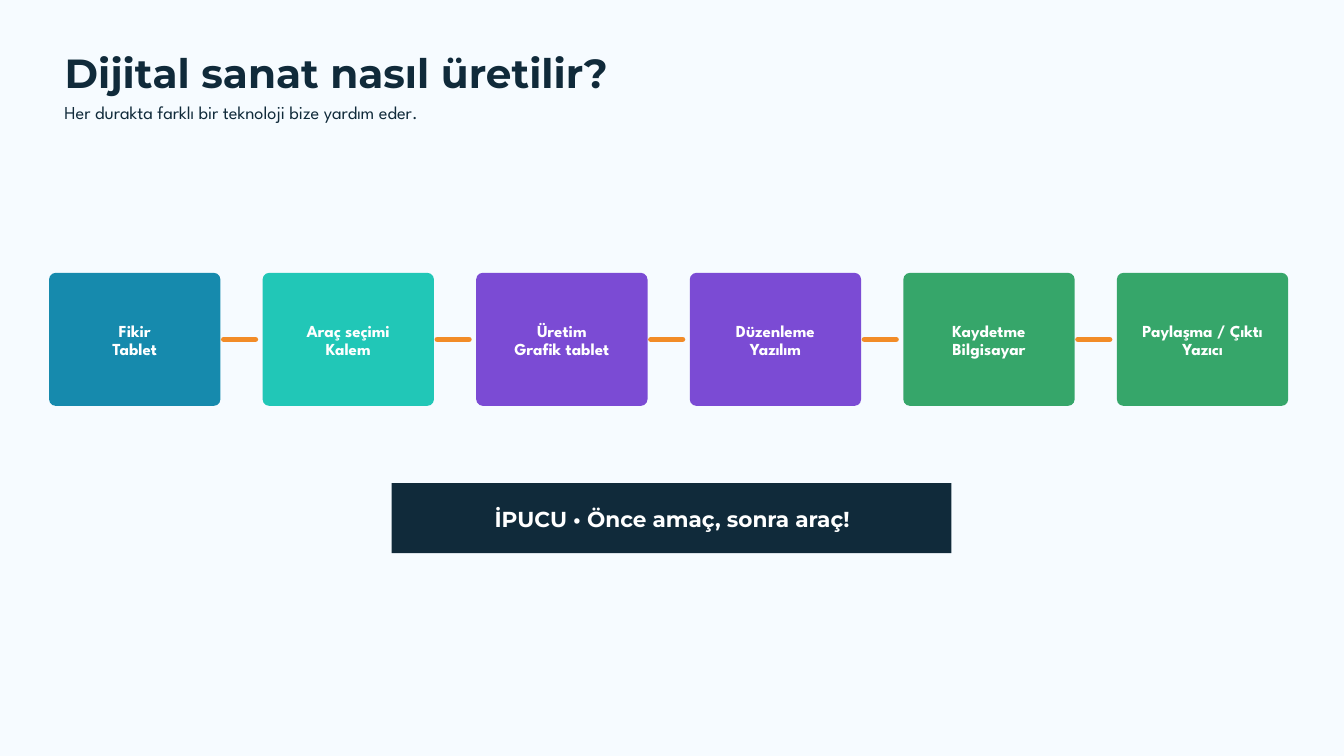
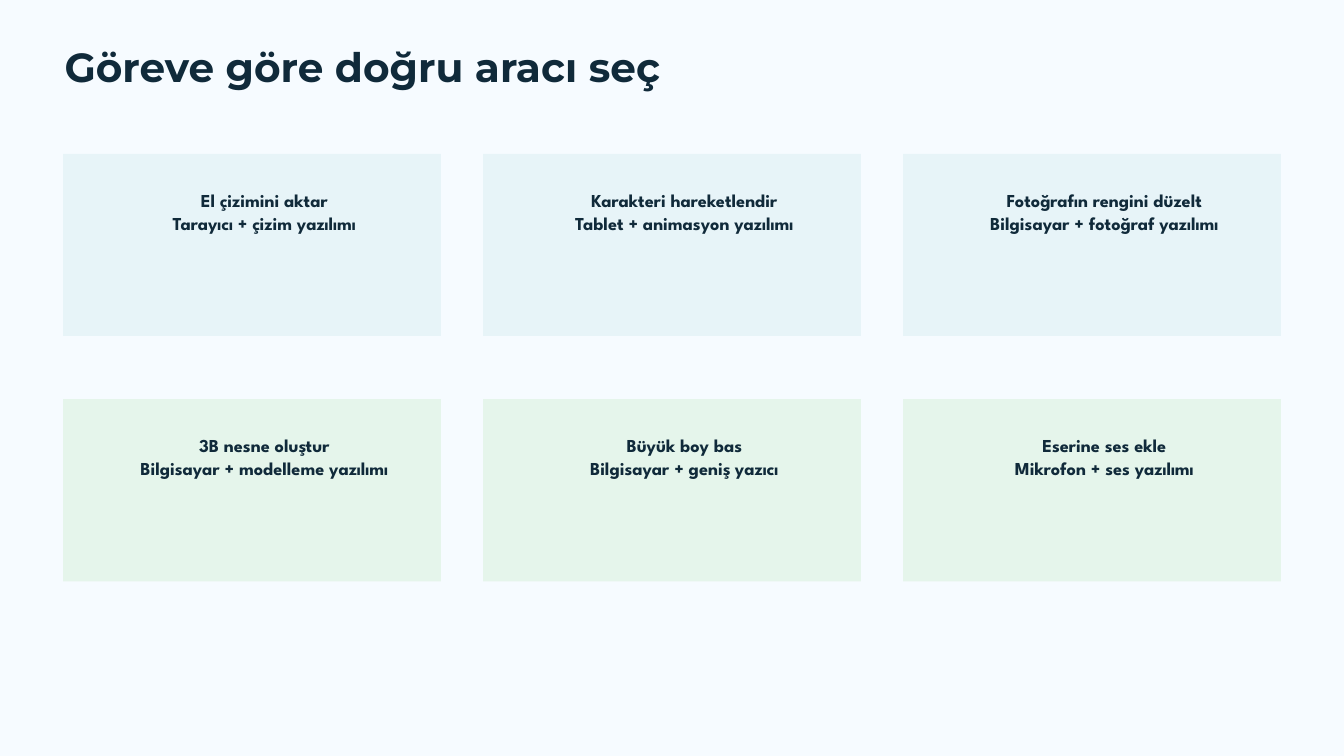
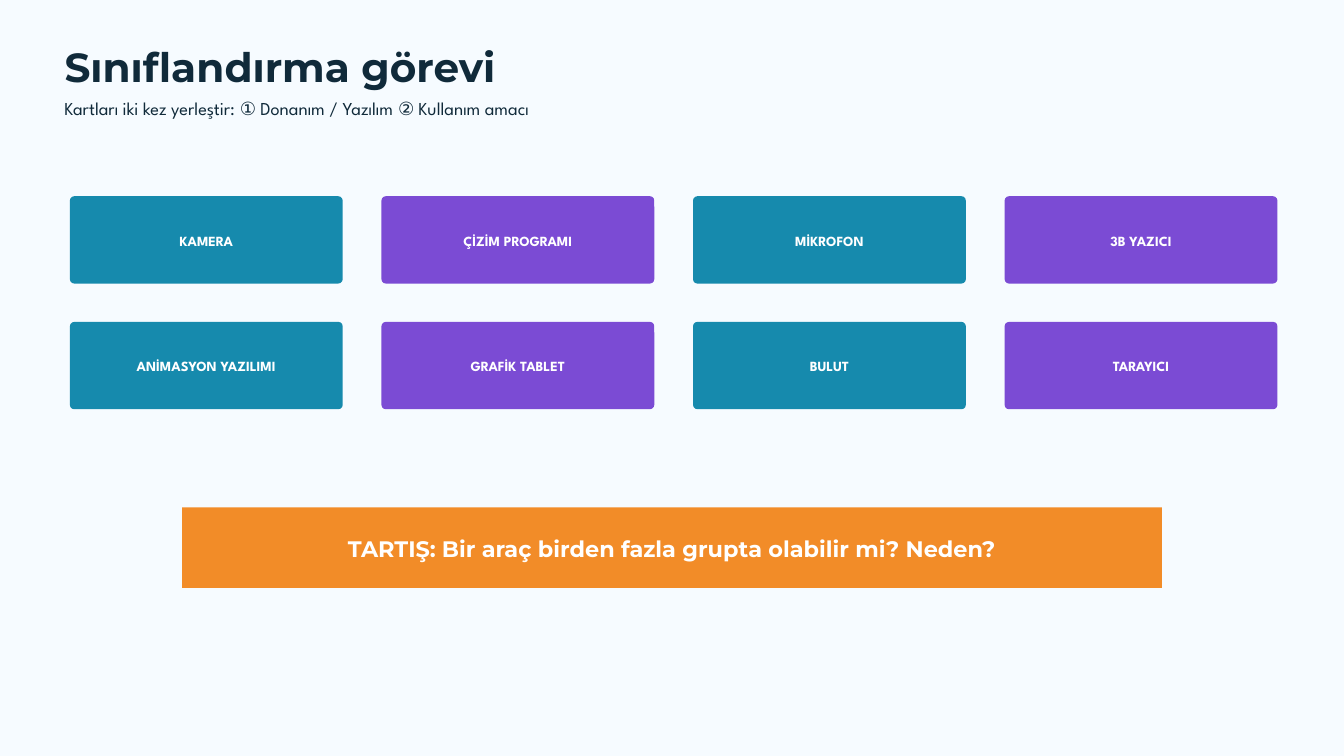
from dataclasses import dataclass

from lxml.etree import SubElement
from pptx import Presentation
from pptx.dml.color import RGBColor
from pptx.enum.shapes import MSO_CONNECTOR, MSO_SHAPE
from pptx.enum.text import MSO_ANCHOR, MSO_AUTO_SIZE, PP_ALIGN
from pptx.oxml.ns import qn
from pptx.util import Inches, Pt


# Theme: colours, and text styles with size and line spacing in points
def color(code):
    return RGBColor.from_string(code)


@dataclass(frozen=True)
class Theme:
    paper = color("F6FBFF")
    ink = color("102A3A")
    white = color("FFFFFF")
    blue = color("168AAD")
    teal = color("21C7B7")
    purple = color("7B4BD4")
    green = color("36A66A")
    orange = color("F28C28")
    pale_blue = color("E7F4F8")
    pale_green = color("E5F5EB")


HEADING, BODY = "Montserrat", "League Spartan"


def style(name, size, spacing, ink=Theme.white, bold=True, align=PP_ALIGN.CENTER):
    font = {"name": name, "size": Pt(size), "bold": bold}
    return {"font": font, "ink": ink, "layout": {"alignment": align, "line_spacing": Pt(spacing)}}


TITLE = style(HEADING, 43.5, 47, Theme.ink, align=PP_ALIGN.LEFT)
SUBTITLE = style(BODY, 19.5, 24.4, Theme.ink, False, PP_ALIGN.LEFT)
STEP = style(BODY, 18, 19.8)
TASK = style(BODY, 19.5, 24.4, Theme.ink)
LABEL = style(BODY, 15, 16.5)
TIP = style(HEADING, 23.2, 32.5)
QUESTION = style(HEADING, 24, 33.6)

# Content
STEPS = [
    ("Fikir", "Tablet", Theme.blue),
    ("Araç seçimi", "Kalem", Theme.teal),
    ("Üretim", "Grafik tablet", Theme.purple),
    ("Düzenleme", "Yazılım", Theme.purple),
    ("Kaydetme", "Bilgisayar", Theme.green),
    ("Paylaşma / Çıktı", "Yazıcı", Theme.green),
]
TASKS = [
    ("El çizimini aktar", "Tarayıcı + çizim yazılımı"),
    ("Karakteri hareketlendir", "Tablet + animasyon yazılımı"),
    ("Fotoğrafın rengini düzelt", "Bilgisayar + fotoğraf yazılımı"),
    ("3B nesne oluştur", "Bilgisayar + modelleme yazılımı"),
    ("Büyük boy bas", "Bilgisayar + geniş yazıcı"),
    ("Eserine ses ekle", "Mikrofon + ses yazılımı"),
]
TOOLS = [
    "KAMERA", "ÇİZİM PROGRAMI", "MİKROFON", "3B YAZICI",
    "ANİMASYON YAZILIMI", "GRAFİK TABLET", "BULUT", "TARAYICI",
]

# Insets: left, top, right, bottom
NO_INSETS = (0, 0, 0, 0)
CARD_INSETS = (0.06, 0.09, 0.06, 0.05)
TASK_INSETS = (0.39, 0.51, 0.02, 0)


# Shared parts
def write(shape, lines, text_style, insets=NO_INSETS, anchor=MSO_ANCHOR.TOP):
    frame = shape.text_frame
    settings = {"word_wrap": True, "auto_size": MSO_AUTO_SIZE.NONE, "vertical_anchor": anchor}
    for side, inset in zip(("left", "top", "right", "bottom"), insets):
        settings[f"margin_{side}"] = Inches(inset)
    for key, value in settings.items():
        setattr(frame, key, value)
    for index, line in enumerate(lines):
        para = frame.add_paragraph() if index else frame.paragraphs[0]
        for key, value in text_style["layout"].items():
            setattr(para, key, value)
        span = para.add_run()
        span.text = line
        for key, value in text_style["font"].items():
            setattr(span.font, key, value)
        span.font.color.rgb = text_style["ink"]


def add_page(deck, title, top, subtitle=None, subtitle_top=0):
    page = deck.slides.add_slide(deck.slide_layouts[5])
    box = page.shapes.title
    place = {"left": 0.96, "top": top, "width": 15.62, "height": 0.66}
    for key, value in place.items():
        setattr(box, key, Inches(value))
    write(box, [title], TITLE)
    if subtitle:
        box = page.shapes.add_textbox(
            Inches(0.96), Inches(subtitle_top), Inches(16.67), Inches(0.34))
        write(box, [subtitle], SUBTITLE)
    return page


def add_box(page, place, fill, lines, text_style, insets, rounded=False):
    kind = MSO_SHAPE.ROUNDED_RECTANGLE if rounded else MSO_SHAPE.RECTANGLE
    box = page.shapes.add_shape(kind, *map(Inches, place))
    if rounded:
        box.adjustments[0] = 0.05
    box.shadow.inherit = False
    box.fill.solid()
    box.fill.fore_color.rgb = fill
    box.line.fill.background()
    anchor = MSO_ANCHOR.MIDDLE if rounded else MSO_ANCHOR.TOP
    write(box, lines, text_style, insets, anchor)


def add_link(page, start, end, y):
    link = page.shapes.add_connector(
        MSO_CONNECTOR.STRAIGHT, Inches(start), Inches(y), Inches(end), Inches(y))
    link.line.color.rgb = Theme.orange
    link.line.width = Pt(6)
    link.line._get_or_add_ln().set("cap", "rnd")
    SubElement(link._element.spPr, qn("a:effectLst"))


def grid(count, columns, left, right, top, width, height, row_gap=0):
    """Places of equal cells spread evenly from left to right, row by row."""
    pitch = (right - left - width) / (columns - 1)
    for index in range(count):
        row, column = divmod(index, columns)
        yield left + column * pitch, top + row * (height + row_gap), width, height


# Slides
def add_process(deck):
    page = add_page(deck, "Dijital sanat nasıl üretilir?", 0.79,
                    "Her durakta farklı bir teknoloji bize yardım eder.", 1.49)
    places = list(grid(len(STEPS), len(STEPS), 0.73, 19.17, 4.06, 2.55, 1.98))
    for (name, tool, fill), place in zip(STEPS, places):
        add_box(page, place, fill, [name, tool], STEP, CARD_INSETS, rounded=True)
    for left, top, width, height in places[:-1]:
        start = left + width + 0.05
        add_link(page, start, start + 0.47, top + height / 2)
    add_box(page, (5.83, 7.19, 8.33, 1.04), Theme.ink,
            ["İPUCU • Önce amaç, sonra araç!"], TIP, (0.32, 0.27, 0.3, 0))


def add_tool_choice(deck):
    page = add_page(deck, "Göreve göre doğru aracı seç", 0.69)
    places = grid(len(TASKS), 3, 0.94, 19.06, 2.29, 5.62, 2.71, 0.94)
    for index, (lines, place) in enumerate(zip(TASKS, places)):
        fill = Theme.pale_blue if index < 3 else Theme.pale_green
        add_box(page, place, fill, lines, TASK, TASK_INSETS)


def add_sorting(deck):
    page = add_page(deck, "Sınıflandırma görevi", 0.69,
                    "Kartları iki kez yerleştir: ① Donanım / Yazılım ② Kullanım amacı", 1.44)
    places = grid(len(TOOLS), 4, 1.04, 19.01, 2.92, 4.06, 1.3, 0.57)
    for index, (tool, place) in enumerate(zip(TOOLS, places)):
        fill = Theme.purple if index % 2 else Theme.blue
        add_box(page, place, fill, [tool], LABEL, CARD_INSETS, rounded=True)
    add_box(page, (2.71, 7.55, 14.58, 1.2), Theme.orange,
            ["TARTIŞ: Bir araç birden fazla grupta olabilir mi? Neden?"],
            QUESTION, (0.41, 0.34, 0.42, 0))


def main():
    deck = Presentation()
    deck.slide_width, deck.slide_height = Inches(20), Inches(11.25)
    backdrop = deck.slide_master.background.fill
    backdrop.solid()
    backdrop.fore_color.rgb = Theme.paper
    for add_slide in (add_process, add_tool_choice, add_sorting):
        add_slide(deck)
    deck.save("out.pptx")


if __name__ == "__main__":
    main()
